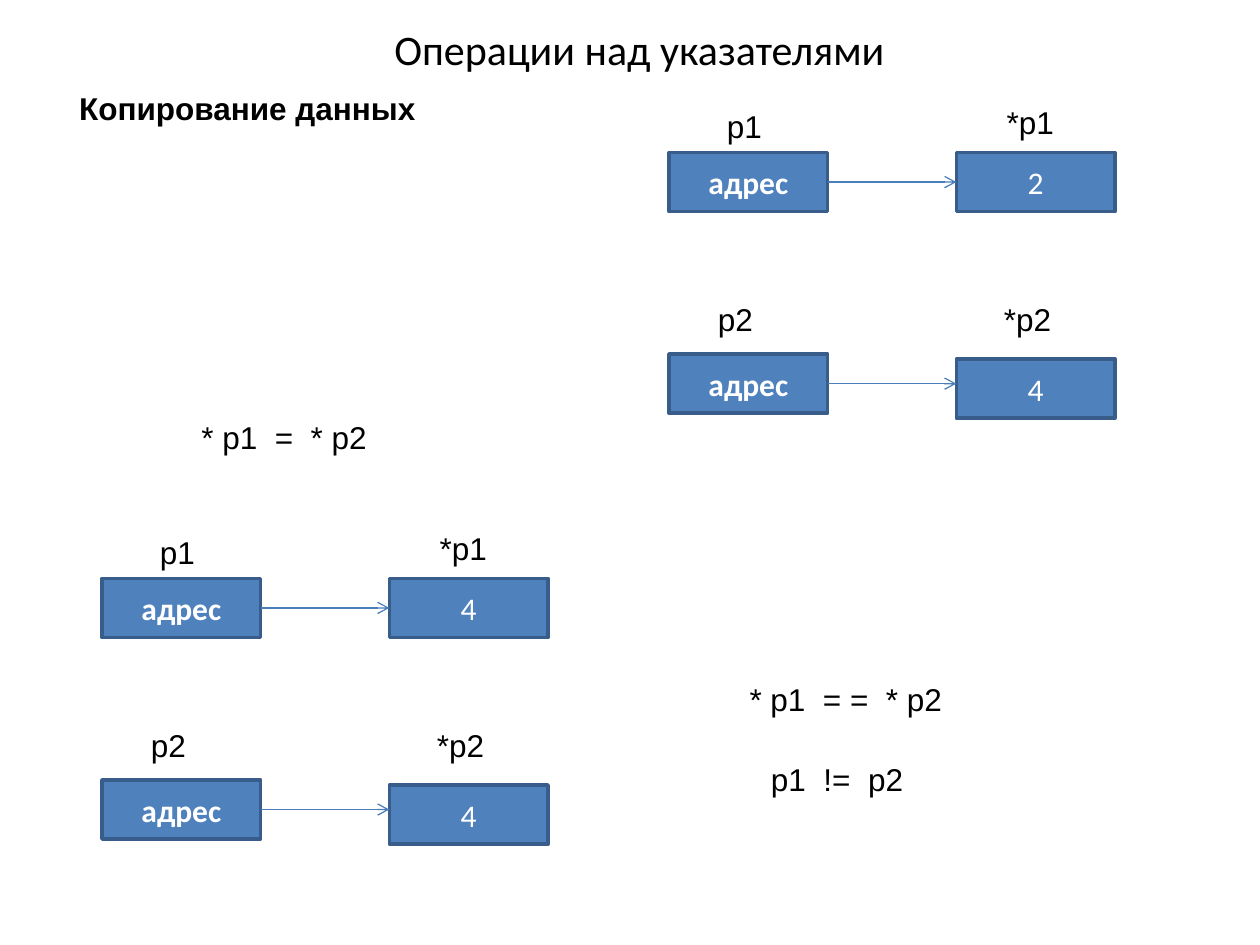
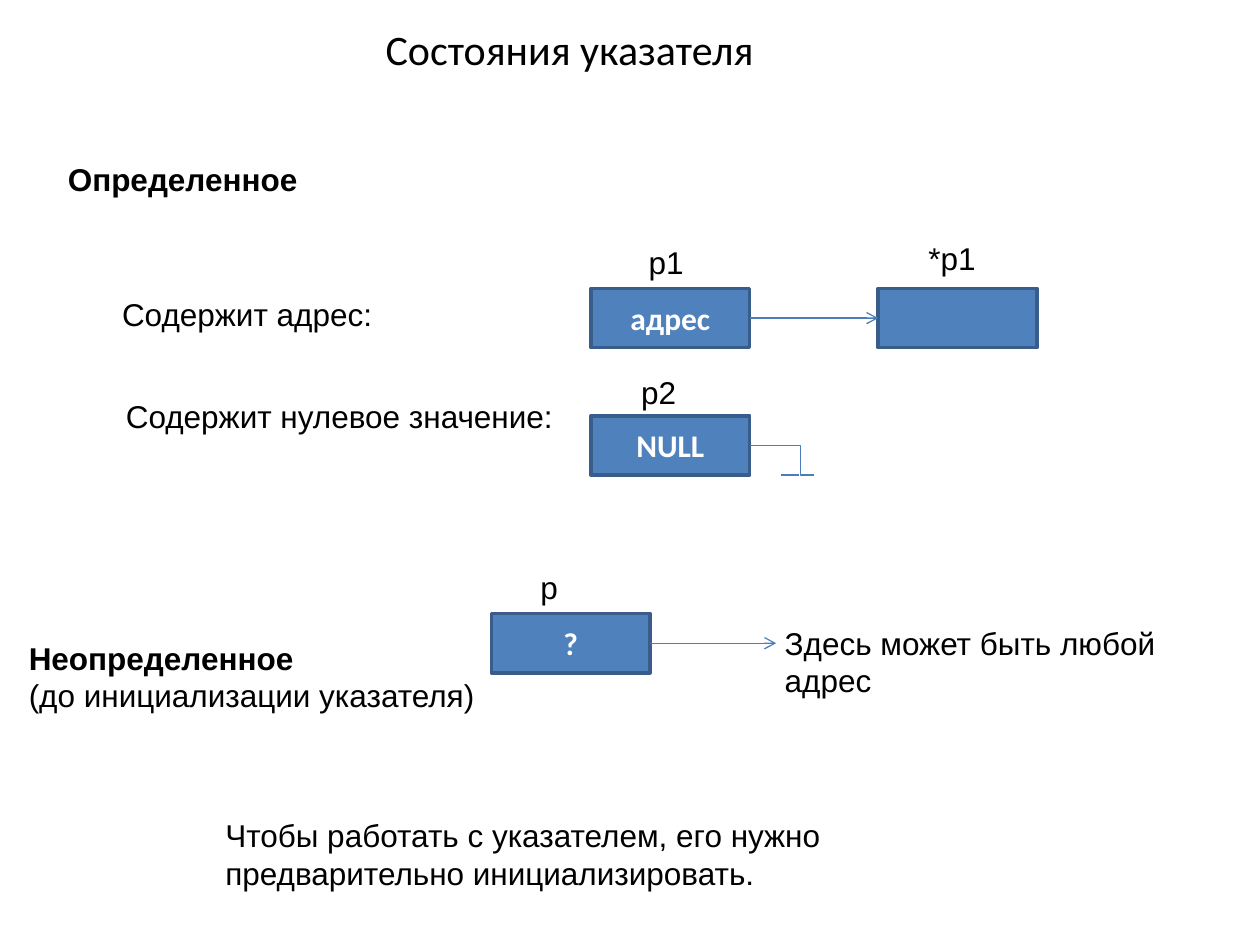
from pptx import Presentation
from pptx.dml.color import RGBColor as RGB
from pptx.enum.shapes import MSO_CONNECTOR as LINK, MSO_SHAPE as SHAPE
from pptx.enum.text import MSO_ANCHOR as ANCHOR, MSO_AUTO_SIZE as FIT, PP_ALIGN as ALIGN
from pptx.oxml.ns import qn
from pptx.util import Inches, Pt
from lxml.etree import SubElement as Sub

# Grid of 100 columns by 75 rows; all lengths below are in its cells
WIDE, HIGH = Inches(10), Inches(7.5)
COLS, ROWS = 100, 75
HEX = {"text": "000000", "fill": "4F81BD", "edge": "385D8A",
       "link": "4A7EBB", "white": "FFFFFF"}
FONTS = {
    "title": {"name": "Calibri", "size": Pt(24), "bold": False},
    "body": {"name": "Arial", "size": Pt(18), "bold": False},
    "head": {"name": "Arial", "size": Pt(18), "bold": True},
    "value": {"name": "Calibri", "size": Pt(18), "bold": False},
    "cell": {"name": "Calibri", "size": Pt(18), "bold": True},
}
CELL_W, CELL_H = 12.6, 4.7
STEP = 22.8  # from a pointer cell to its target
LABEL_W, LABEL_H = 6.6, 4
# Label offsets from the pointer cell: name, then target
NEAR = ((3.6, -4.1), (25.8, -4.4))
FAR = ((2.9, -4.8), (25.6, -4.8))


def grid(*vals):
    return [int(v * (HIGH / ROWS if i % 2 else WIDE / COLS))
            for i, v in enumerate(vals)]


def color(key):
    return RGB.from_string(HEX[key])


def write(frame, lines, tint="text", align=ALIGN.LEFT, anchor=ANCHOR.TOP):
    """Fill a text frame with (style, text) lines."""
    form = {"word_wrap": True, "auto_size": FIT.NONE, "vertical_anchor": anchor}
    for key, val in form.items():
        setattr(frame, key, val)
    for i, (style, text) in enumerate(lines):
        para = frame.add_paragraph() if i else frame.paragraphs[0]
        para.alignment = align
        run = para.add_run()
        run.text = text
        for key, val in FONTS[style].items():
            setattr(run.font, key, val)
        run.font.color.rgb = color(tint)


def page(deck, title, box):
    slide = deck.slides.add_slide(deck.slide_layouts[5])
    head = slide.shapes.title
    for key, val in zip(("left", "top", "width", "height"), grid(*box)):
        setattr(head, key, val)
    write(head.text_frame, [("title", title)])
    return slide


def note(slide, box, *lines):
    write(slide.shapes.add_textbox(*grid(*box)).text_frame, lines)


def label(slide, x, y, text):
    note(slide, (x, y, LABEL_W, LABEL_H), ("body", text))


def cell(slide, x, y, text="", style="cell"):
    rect = slide.shapes.add_shape(SHAPE.RECTANGLE, *grid(x, y, CELL_W, CELL_H))
    rect.shadow.inherit = False
    rect.fill.solid()
    rect.fill.fore_color.rgb = color("fill")
    rect.line.color.rgb = color("edge")
    rect.line.width = Pt(2)
    if text:
        write(rect.text_frame, [(style, text)], "white", ALIGN.CENTER, ANCHOR.MIDDLE)
    return rect


def link(slide, ends, start=None, goal=None, kind=LINK.STRAIGHT, arrow=True):
    line = slide.shapes.add_connector(kind, *grid(*ends))
    line.line.color.rgb = color("link")
    line.line.width = Pt(0.75)
    if start:
        line.begin_connect(start, 3)
    if goal:
        line.end_connect(goal, 1)
    if arrow:
        Sub(line.line._get_or_add_ln(), qn("a:tailEnd"), type="arrow")
    Sub(line._element.spPr, qn("a:effectLst"))
    return line


def pair(slide, x, y, name, value="", spots=NEAR, drop=0):
    """Pointer cell, arrow and target cell, with a label over each cell."""
    start = cell(slide, x, y, "адрес")
    goal = cell(slide, x + STEP, y + drop, value, "value")
    mid = y + CELL_H / 2
    link(slide, (x + CELL_W, mid, x + STEP, mid), start, None if drop else goal)
    for (dx, dy), text in zip(spots, (name, "*" + name)):
        label(slide, x + dx, y + dy, text)


def state(slide, x, y, first, second):
    """Both pointers, one above the other."""
    pair(slide, x, y, "p1", first)
    pair(slide, x, y + 16, "p2", second, FAR, 0.4)


def ground(slide, x, y, start):
    """Bent line from a cell's side down to a ground mark."""
    bent = link(slide, (x, y, x + 5.1, y + 2.35), start, kind=LINK.ELBOW, arrow=False)
    geom = bent._element.spPr.find(qn("a:prstGeom"))
    marks = geom.find(qn("a:avLst"))
    if marks is None:
        marks = Sub(geom, qn("a:avLst"))
    Sub(marks, qn("a:gd"), name="adj1", fmla="val 79600")
    link(slide, (x + 3.9, y + 2.35, x + 2.5, y + 2.35), arrow=False)


def copying(deck):
    slide = page(deck, "Операции над указателями", (30.3, 1.4, 42, 5))
    note(slide, (5.3, 6.6, 30, 4), ("head", "Копирование данных"))
    state(slide, 53.1, 12.1, "2", "4")
    note(slide, (15, 32.7, 20.5, 4), ("body", "* p1  =  * p2"))
    state(slide, 8.1, 45.9, "4", "4")
    note(slide, (58.5, 53.5, 18.5, 4), ("body", "* p1  = =  * p2"))
    note(slide, (60.2, 59.8, 15.5, 4), ("body", "p1  !=  p2"))


def states(deck):
    slide = page(deck, "Состояния указателя", (29.6, 1.4, 33, 5))
    # Defined pointer: an address or null
    note(slide, (4.4, 12.2, 22, 4), ("head", "Определенное"))
    note(slide, (8.7, 22.9, 25.8, 4), ("body", "Содержит адрес:"))
    left = 46.9
    pair(slide, left, 22.9, "p1")
    note(slide, (9, 31, 37.8, 4), ("body", "Содержит нулевое значение:"))
    null = cell(slide, left, 33, "NULL")
    label(slide, left + 3, 29.1, "p2")
    ground(slide, left + CELL_W, 33 + CELL_H / 2, null)
    # Undefined pointer
    note(slide, (1.3, 50.2, 38.5, 7), ("head", "Неопределенное"),
         ("body", "(до инициализации указателя)"))
    x, y = 39, 48.7
    wild = cell(slide, x, y, "?")
    label(slide, x + 2.9, y - 4.1, "p")
    mid = y + CELL_H / 2
    link(slide, (x + CELL_W, mid, x + STEP - 0.2, mid), wild)
    note(slide, (61.3, 49, 36, 7), ("body", "Здесь может быть любой адрес"))
    # Conclusion
    note(slide, (16.9, 64.3, 50, 7),
         ("body", "Чтобы работать с указателем, его нужно предварительно инициализировать."))


def main():
    deck = Presentation()
    deck.slide_width, deck.slide_height = WIDE, HIGH
    copying(deck)
    states(deck)
    deck.save("out.pptx")


if __name__ == "__main__":
    main()
